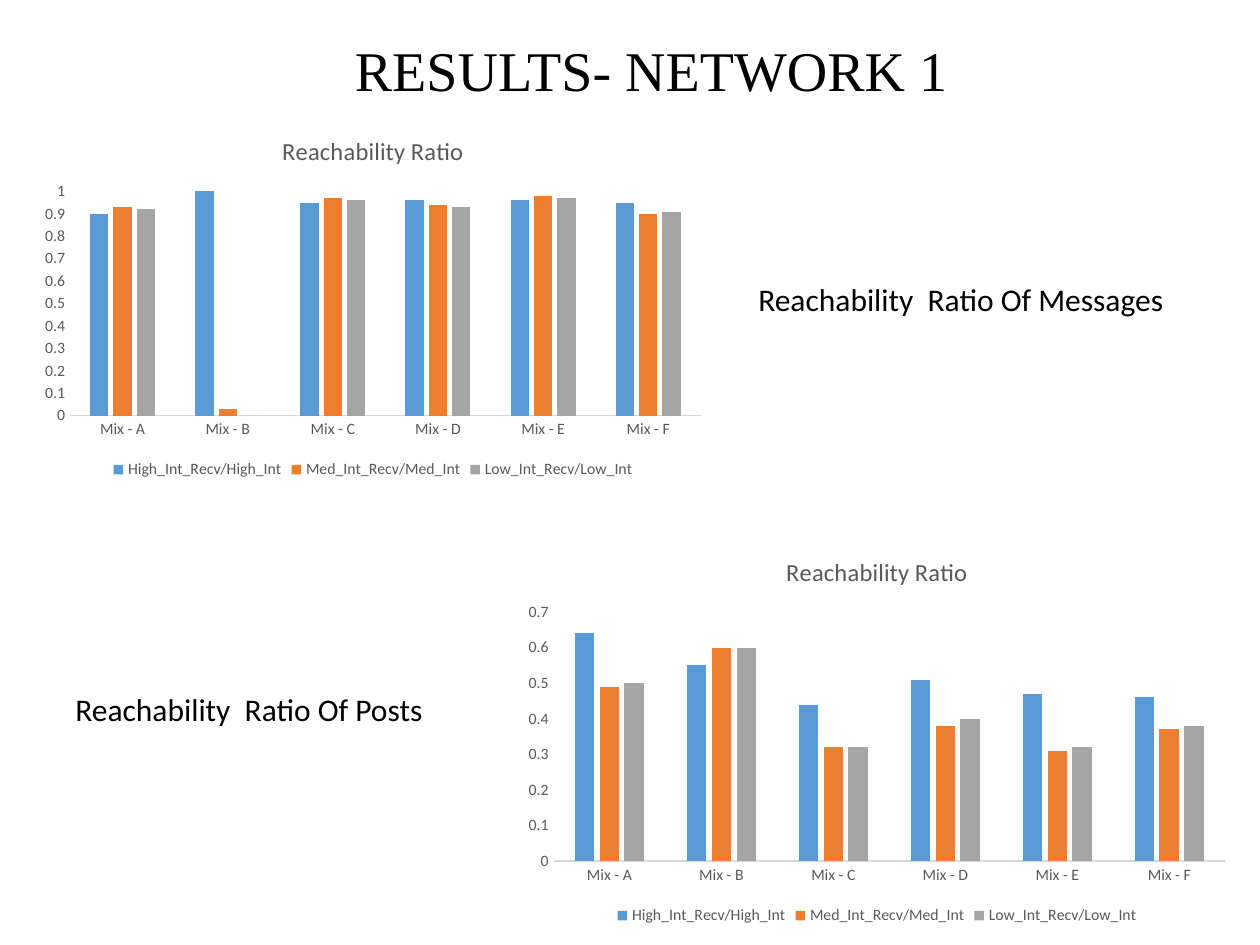
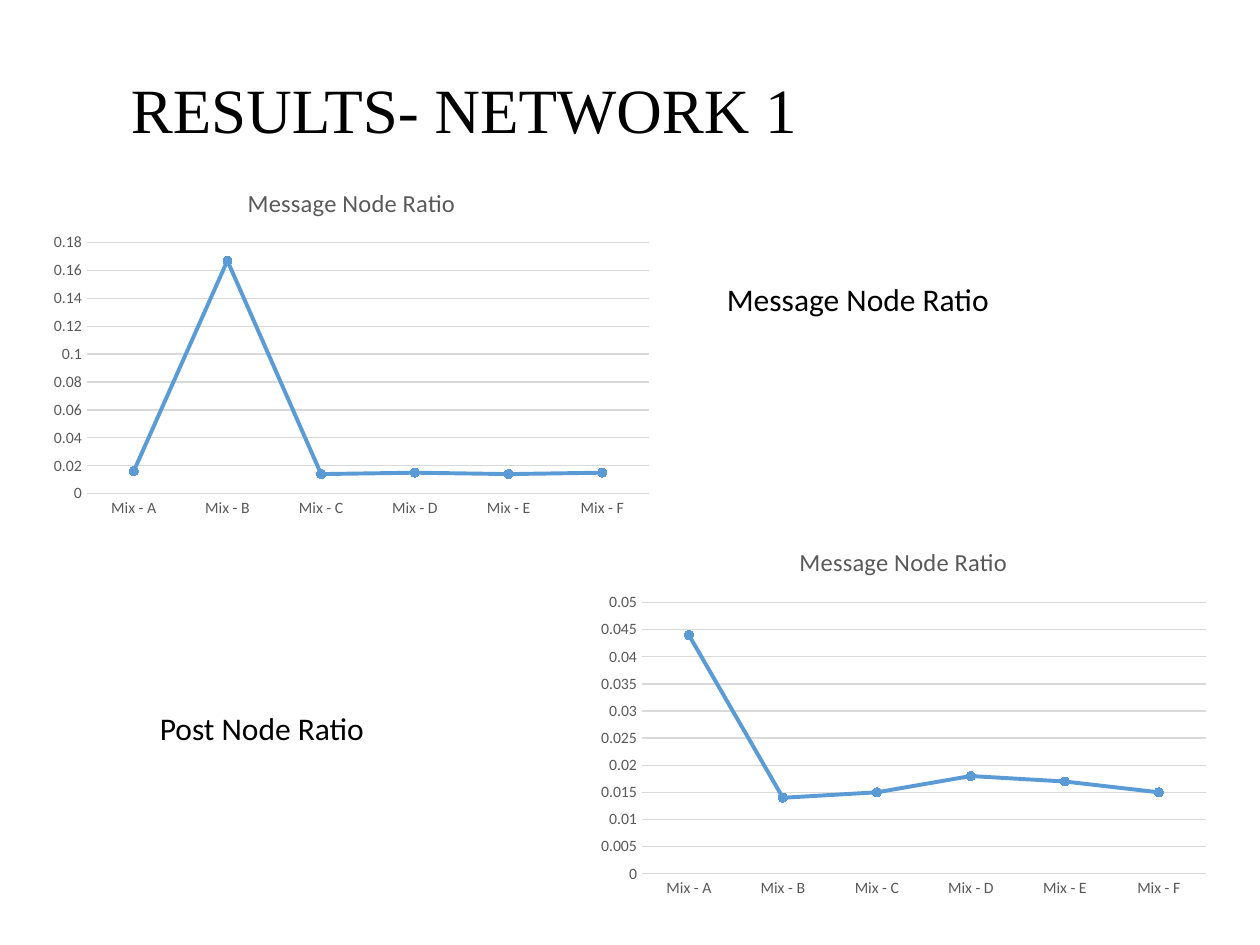
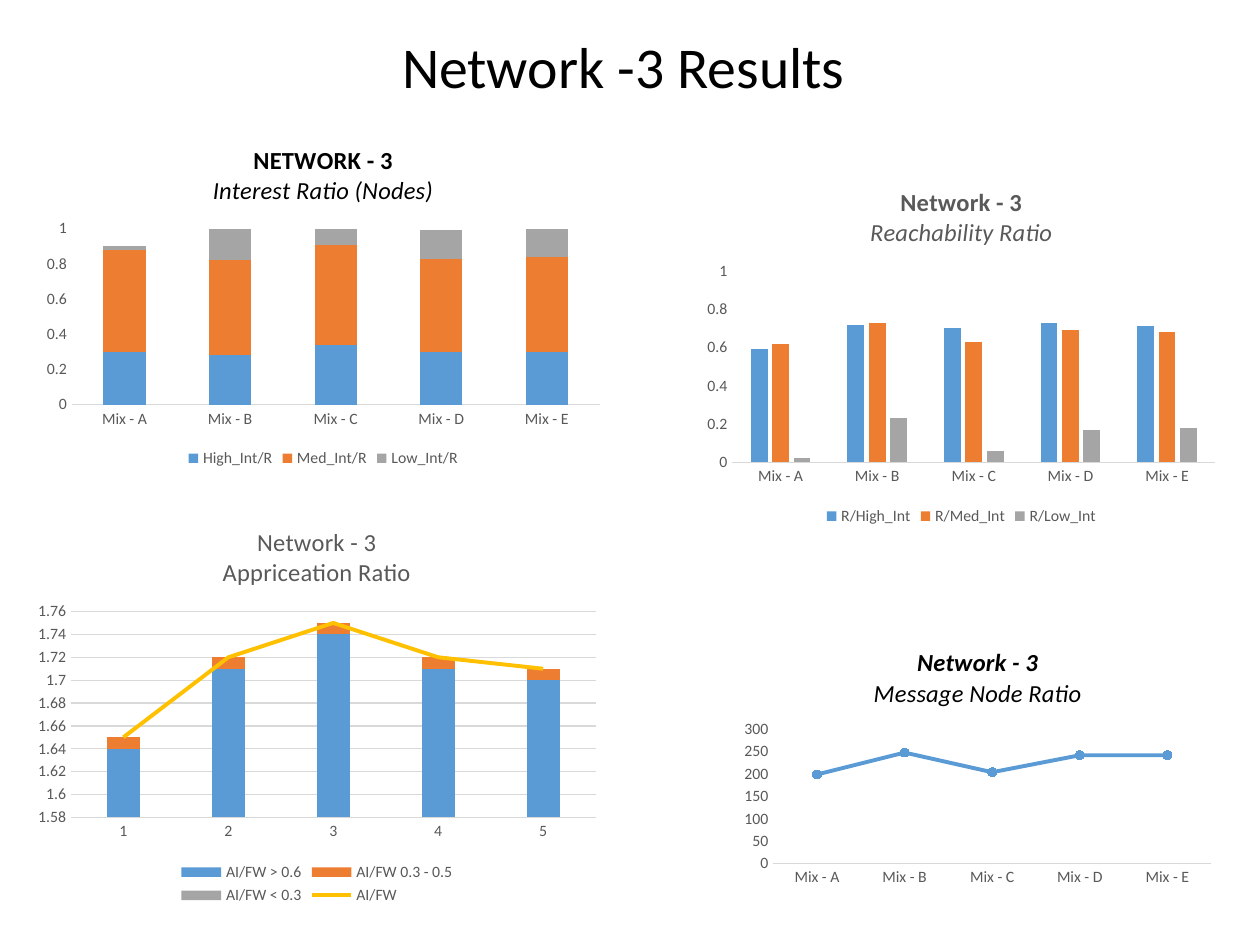
"""Build three slides of network result charts."""
from dataclasses import dataclass

from lxml import etree
from pptx import Presentation
from pptx import util as u
from pptx.chart.data import CategoryChartData
from pptx.dml.color import RGBColor
from pptx.enum import chart as ch
from pptx.enum import text
from pptx.oxml import ns

BODY_FONT = "Calibri"
TITLE_FONT = "Times New Roman"
BLACK, GREY, RULE = "000000", "595959", "D9D9D9"
BLUE, ORANGE, SILVER, GOLD = PALETTE = ("5B9BD5", "ED7D31", "A5A5A5", "FFC000")
KIND = ch.XL_CHART_TYPE
MARKED_LINES = (KIND.LINE_MARKERS, KIND.LINE_MARKERS_STACKED)
MIXES = tuple(f"Mix - {letter}" for letter in "ABCDEF")
RECEIVED = ("High_Int_Recv/High_Int", "Med_Int_Recv/Med_Int", "Low_Int_Recv/Low_Int")


@dataclass(frozen=True)
class Box:
    """A rectangle in inches."""
    left: float
    top: float
    width: float
    height: float

    def emu(self) -> tuple:
        """Return the rectangle as lengths."""
        return tuple(u.Inches(v) for v in (self.left, self.top, self.width, self.height))


@dataclass(frozen=True)
class Heading:
    """A slide title."""
    words: str
    box: Box
    size: int
    font: str = TITLE_FONT
    align: text.PP_ALIGN = text.PP_ALIGN.CENTER


@dataclass(frozen=True)
class Caption:
    """A label beside a chart."""
    words: str
    box: Box


@dataclass(frozen=True)
class TitleLine:
    """One line of a chart title."""
    words: str
    bold: bool = False
    italic: bool = False


@dataclass(frozen=True)
class Scale:
    """Limits and step of a value axis; None is automatic."""
    low: float | None = None
    high: float | None = None
    step: float | None = None


@dataclass(frozen=True)
class Graph:
    """A chart with its data and look."""
    kind: KIND
    box: Box
    title: tuple[TitleLine, ...]
    series: dict[str, tuple]
    categories: tuple[str, ...] = MIXES
    title_color: str = GREY
    scale: Scale = Scale()
    grid: bool = False
    gap: int = 219
    last_as_line: bool = False


@dataclass(frozen=True)
class Page:
    """The content of one slide."""
    heading: Heading
    graphs: tuple[Graph, ...]
    captions: tuple[Caption, ...] = ()


def rgb(color: str) -> RGBColor:
    """Turn a hex string into a colour."""
    return RGBColor.from_string(color)


def style_font(font, size: float, color: str, name: str = BODY_FONT) -> None:
    """Set size, colour and typeface of a font."""
    font.size, font.name = u.Pt(size), name
    font.color.rgb = rgb(color)


def style_line(line, color: str, width: float = 0.75) -> None:
    """Set colour and width of a line."""
    line.color.rgb = rgb(color)
    line.width = u.Pt(width)


def add_words(slide, words: str, box: Box, size: int, font: str = BODY_FONT):
    """Add a one-line text box and return its frame."""
    frame = slide.shapes.add_textbox(*box.emu()).text_frame
    frame.text = words
    style_font(frame.paragraphs[0].runs[0].font, size, BLACK, font)
    return frame


def add_heading(slide, heading: Heading) -> None:
    """Add the slide title."""
    frame = add_words(slide, heading.words, heading.box, heading.size, heading.font)
    frame.word_wrap = True
    frame.vertical_anchor = text.MSO_ANCHOR.MIDDLE
    frame.paragraphs[0].alignment = heading.align
    frame.paragraphs[0].line_spacing = 0.9


def add_caption(slide, caption: Caption) -> None:
    """Add a chart caption."""
    frame = add_words(slide, caption.words, caption.box, 18)
    frame.word_wrap = False
    frame.auto_size = text.MSO_AUTO_SIZE.SHAPE_TO_FIT_TEXT


def move_last_to_line(chart) -> None:
    """Show the last column series as a line on the same axes."""
    bars = chart.plots[0]._element
    lines = etree.Element(ns.qn("c:lineChart"))
    bars.addnext(lines)
    moved = bars.findall(ns.qn("c:ser"))[-1]
    for invert in moved.findall(ns.qn("c:invertIfNegative")):
        moved.remove(invert)

    def add(tag: str, value: str) -> None:
        etree.SubElement(lines, ns.qn(tag)).set("val", value)

    add("c:grouping", "standard")
    add("c:varyColors", "0")
    lines.append(moved)
    add("c:marker", "1")
    for axis in bars.findall(ns.qn("c:axId")):
        add("c:axId", axis.get("val"))


def style_title(chart, graph: Graph) -> None:
    """Write the chart title line by line."""
    chart.has_title = True
    chart.chart_title.include_in_layout = False
    frame = chart.chart_title.text_frame
    frame.text = "\n".join(line.words for line in graph.title)
    for paragraph, line in zip(frame.paragraphs, graph.title):
        font = paragraph.runs[0].font
        style_font(font, 14, graph.title_color)
        font.bold, font.italic = line.bold, line.italic


def style_axes(chart, graph: Graph) -> None:
    """Format both axes."""
    for axis in (chart.category_axis, chart.value_axis):
        axis.major_tick_mark = axis.minor_tick_mark = ch.XL_TICK_MARK.NONE
        style_font(axis.tick_labels.font, 9, GREY)
    style_line(chart.category_axis.format.line, RULE)
    values = chart.value_axis
    values.format.line.fill.background()
    values.has_major_gridlines = graph.grid
    if graph.grid:
        style_line(values.major_gridlines.format.line, RULE)
    values.minimum_scale = graph.scale.low
    values.maximum_scale = graph.scale.high
    values.major_unit = graph.scale.step


def style_line_series(series, color: str, marked: bool) -> None:
    """Format a series drawn as a line."""
    series.smooth = False
    style_line(series.format.line, color, 2.25)
    marker = series.marker
    if not marked:
        marker.style = ch.XL_MARKER_STYLE.NONE
        return
    marker.style, marker.size = ch.XL_MARKER_STYLE.CIRCLE, 5
    marker.format.fill.solid()
    marker.format.fill.fore_color.rgb = rgb(color)
    style_line(marker.format.line, color)


def style_plots(chart, graph: Graph) -> None:
    """Format the columns and lines."""
    if graph.kind in MARKED_LINES:
        chart.plots[0].vary_by_categories = False
        style_line_series(chart.series[0], BLUE, True)
        return
    columns = chart.plots[0]
    columns.vary_by_categories = False
    columns.gap_width = graph.gap
    columns.overlap = 100 if graph.kind == KIND.COLUMN_STACKED else -27
    for series, color in zip(columns.series, PALETTE):
        series.format.fill.solid()
        series.format.fill.fore_color.rgb = rgb(color)
    if graph.last_as_line:
        style_line_series(chart.plots[1].series[0], GOLD, False)


def add_graph(slide, graph: Graph) -> None:
    """Add a chart."""
    data = CategoryChartData()
    data.categories = graph.categories
    for name, values in graph.series.items():
        data.add_series(name, values)
    chart = slide.shapes.add_chart(graph.kind, *graph.box.emu(), data).chart
    style_font(chart.font, 10, BLACK)
    if graph.last_as_line:
        move_last_to_line(chart)
    style_title(chart, graph)
    style_axes(chart, graph)
    style_plots(chart, graph)
    chart.has_legend = len(graph.series) > 1
    if chart.has_legend:
        chart.legend.position = ch.XL_LEGEND_POSITION.BOTTOM
        chart.legend.include_in_layout = False
        style_font(chart.legend.font, 9, GREY)


def reach_graph(box: Box, rows: tuple, scale: Scale = Scale()) -> Graph:
    """Describe a reachability chart of network 1."""
    return Graph(KIND.COLUMN_CLUSTERED, box, (TitleLine("Reachability Ratio"),),
                 dict(zip(RECEIVED, rows)), scale=scale)


def node_graph(box: Box, values: tuple) -> Graph:
    """Describe a node ratio chart of network 1."""
    return Graph(KIND.LINE_MARKERS_STACKED, box, (TitleLine("Message Node Ratio"),),
                 {"Series 1": values}, grid=True)


PAGES = (
    Page(
        Heading("RESULTS- NETWORK 1", Box(0.67, 0.17, 9, 0.83), 32),
        (
            reach_graph(Box(0.25, 0.92, 5.42, 2.92), (
                (0.9, 1, 0.95, 0.96, 0.96, 0.95),
                (0.93, 0.03, 0.97, 0.94, 0.98, 0.9),
                (0.92, 0, 0.96, 0.93, 0.97, 0.91)), Scale(high=1)),
            reach_graph(Box(4.08, 4.25, 5.76, 3.13), (
                (0.64, 0.55, 0.44, 0.51, 0.47, 0.46),
                (0.49, 0.6, 0.32, 0.38, 0.31, 0.37),
                (0.5, 0.6, 0.32, 0.4, 0.32, 0.38))),
        ),
        (Caption("Reachability  Ratio Of Messages", Box(5.92, 2.17, 3.45, 0.4)),
         Caption("Reachability  Ratio Of Posts", Box(0.5, 5.43, 2.99, 0.4))),
    ),
    Page(
        Heading("RESULTS- NETWORK 1", Box(0.94, 0.17, 8.62, 1.45), 36,
                align=text.PP_ALIGN.LEFT),
        (
            node_graph(Box(0.33, 1.33, 4.92, 2.83),
                       (0.016, 0.167, 0.014, 0.015, 0.014, 0.015)),
            node_graph(Box(4.67, 4.18, 5, 3),
                       (0.044, 0.014, 0.015, 0.018, 0.017, 0.015)),
        ),
        (Caption("Message Node Ratio", Box(5.67, 2.17, 2.31, 0.4)),
         Caption("Post Node Ratio", Box(1.17, 5.58, 1.84, 0.4))),
    ),
    Page(
        Heading("Network -3 Results ", Box(0.69, 0.25, 8.62, 0.6), 33, BODY_FONT),
        (
            Graph(KIND.COLUMN_STACKED, Box(0.28, 1, 4.57, 2.75),
                  (TitleLine("NETWORK - 3", bold=True),
                   TitleLine("Interest Ratio (Nodes)", italic=True)),
                  {"High_Int/R": (0.3, 0.28, 0.34, 0.3, 0.3),
                   "Med_Int/R": (0.58, 0.54, 0.57, 0.53, 0.54),
                   "Low_Int/R": (0.02, 0.18, 0.09, 0.16, 0.16)},
                  MIXES[:5], BLACK, Scale(high=1, step=0.1), gap=150),
            Graph(KIND.COLUMN_CLUSTERED, Box(5.53, 1.33, 4.2, 2.88),
                  (TitleLine("Network - 3", bold=True),
                   TitleLine("Reachability Ratio", italic=True)),
                  {"R/High_Int": (0.59, 0.72, 0.7, 0.73, 0.71),
                   "R/Med_Int": (0.62, 0.73, 0.63, 0.69, 0.68),
                   "R/Low_Int": (0.02, 0.23, 0.06, 0.17, 0.18)},
                  MIXES[:5], scale=Scale(high=1, step=0.2)),
            Graph(KIND.COLUMN_STACKED, Box(0.21, 4.02, 4.61, 3.2),
                  (TitleLine("Network - 3"), TitleLine("Appriceation Ratio")),
                  {"AI/FW > 0.6": (1.64, 1.71, 1.74, 1.71, 1.7),
                   "AI/FW 0.3 - 0.5": (0.01,) * 5,
                   "AI/FW < 0.3": (0,) * 5,
                   "AI/FW": (1.65, 1.72, 1.75, 1.72, 1.71)},
                  tuple("12345"), scale=Scale(1.58, 1.76, 0.02), grid=True,
                  last_as_line=True),
            Graph(KIND.LINE_MARKERS, Box(5.83, 5, 3.86, 2.08),
                  (TitleLine("Network - 3", bold=True, italic=True),
                   TitleLine("Message Node Ratio", italic=True)),
                  {"Series 1": (199, 248, 204, 242, 242)}, MIXES[:5], BLACK),
        ),
    ),
)


def main() -> None:
    """Build and save the presentation."""
    deck = Presentation()
    deck.slide_width, deck.slide_height = u.Inches(10), u.Inches(7.5)
    for page in PAGES:
        slide = deck.slides.add_slide(deck.slide_layouts[6])
        add_heading(slide, page.heading)
        for graph in page.graphs:
            add_graph(slide, graph)
        for caption in page.captions:
            add_caption(slide, caption)
    deck.save("out.pptx")


if __name__ == "__main__":
    main()
